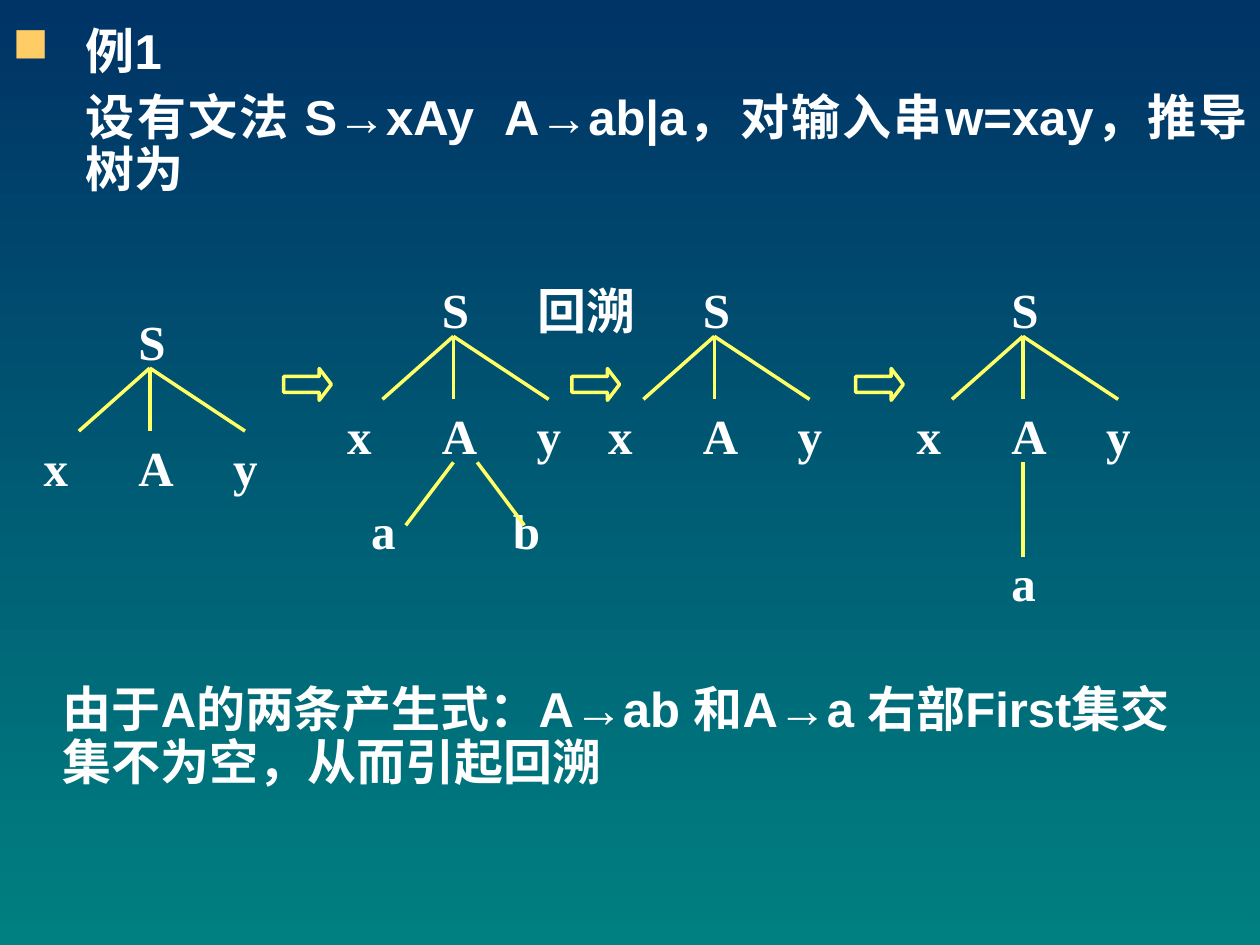
"""Build a slide on parse trees that need backtracking."""
from lxml import etree
from pptx import Presentation
from pptx import util as u
from pptx.dml.color import RGBColor
from pptx.enum import shapes, text
from pptx.oxml.ns import qn

HUES = {"top": "003366", "base": "008080", "text": "FFFFFF",
        "line": "FFFF66", "mark": "FFCC66"}
SANS, SERIF = "Arial", "Times New Roman"


def hue(name):
    return RGBColor.from_string(HUES[name])


class Board:
    def __init__(self, deck):
        self.slide = deck.slides.add_slide(deck.slide_layouts[6])
        self.group = self.slide
        self.size = u.Pt(28)

    def back(self):
        fill = self.slide.background.fill
        fill.gradient()
        fill.gradient_angle = 270
        for stop, name in zip(fill.gradient_stops, ("top", "base")):
            stop.color.rgb = hue(name)

    def start(self):
        self.group = self.slide.shapes.add_group_shape()

    def close(self):
        self.group = self.slide

    def label(self, x, y, w, h, words, font=SERIF, just=True):
        box = self.group.shapes.add_textbox(u.Cm(x), u.Cm(y), u.Cm(w), u.Cm(h))
        frame = box.text_frame
        frame.word_wrap = True
        frame.text = words
        for para in frame.paragraphs:
            if just:
                para.alignment = text.PP_ALIGN.JUSTIFY
            if font == SANS:
                para.line_spacing = 0.9
                para.space_before = u.Pt(7)
            for run in para.runs:
                run.font.name = font
                run.font.size = self.size
                run.font.bold = True
                run.font.color.rgb = hue("text")
        return frame

    def indent(self, para, bullet=False):
        props = para._p.get_or_add_pPr()
        props.set("marL", str(u.Cm(1.48)))
        props.set("indent", str(u.Cm(-1.48) if bullet else 0))
        if bullet:
            tint = etree.SubElement(props, qn("a:buClr"))
            etree.SubElement(tint, qn("a:srgbClr"), val=HUES["mark"])
            etree.SubElement(props, qn("a:buChar"), char="■")

    def line(self, x1, y1, x2, y2):
        link = self.group.shapes.add_connector(
            shapes.MSO_CONNECTOR.STRAIGHT, u.Cm(x1), u.Cm(y1), u.Cm(x2), u.Cm(y2))
        link.line.color.rgb = hue("line")
        link.line.width = u.Pt(2)
        etree.SubElement(link._element.spPr, qn("a:effectLst"))

    def arrow(self, x, y):
        arrow = self.group.shapes.add_shape(
            shapes.MSO_SHAPE.RIGHT_ARROW, u.Cm(x), u.Cm(y), u.Cm(0.96), u.Cm(0.64))
        arrow.adjustments[1] = 0.38
        arrow.shadow.inherit = False
        arrow.fill.background()
        arrow.line.color.rgb = hue("line")
        arrow.line.width = u.Pt(2)

    def node(self, x, y, name, width=1.44):
        self.label(x, y, width, 1.9, name)

    def tree(self, x, y, leaves):
        self.node(x, y, "S", 1.91)
        for step, name, end in ((-1.91, "x", -0.95), (0, "A", 0.48), (1.91, "y", 2.4)):
            self.line(x + 0.48, y + 1.27, x + end, y + 2.54)
            self.node(x + step, y + 2.54, name)
        for name, dx, dy, top, end, foot in leaves:
            self.node(x + dx, y + dy, name)
            self.line(x + top, y + 3.81, x + end, y + foot)


def main():
    deck = Presentation()
    deck.slide_width, deck.slide_height = u.Cm(25.4), u.Cm(19.05)
    board = Board(deck)
    board.back()

    intro = board.label(
        0, 0.43, 25.4, 4.01,
        "例1\n设有文法 S→xAy  A→ab|a，对输入串w=xay，推导树为", SANS)
    for row, para in enumerate(intro.paragraphs):
        board.indent(para, bullet=row == 0)

    fork = (("a", -1.43, 4.45, 0.48, -0.48, 5.08),
            ("b", 1.43, 4.45, 0.96, 1.91, 5.08))
    stem = (("a", 0, 5.51, 0.48, 0.48, 5.72),)
    steps = ((2.54, 6.15, None, ()), (8.66, 5.51, 5.72, fork),
             (13.92, 5.51, 11.53, ()), (20.14, 5.51, 17.25, stem))
    for x, y, arrow, leaves in steps:
        board.start()
        if arrow:
            board.arrow(arrow, 7.43)
        board.tree(x, y, leaves)
    board.close()
    board.node(10.59, 5.54, "回溯", 2.92)

    board.label(1.02, 13.69, 23.55, 2.39,
                "由于A的两条产生式：A→ab 和A→a 右部First集交集不为空，从而引起回溯",
                SANS, just=False)
    deck.save("out.pptx")


if __name__ == "__main__":
    main()
